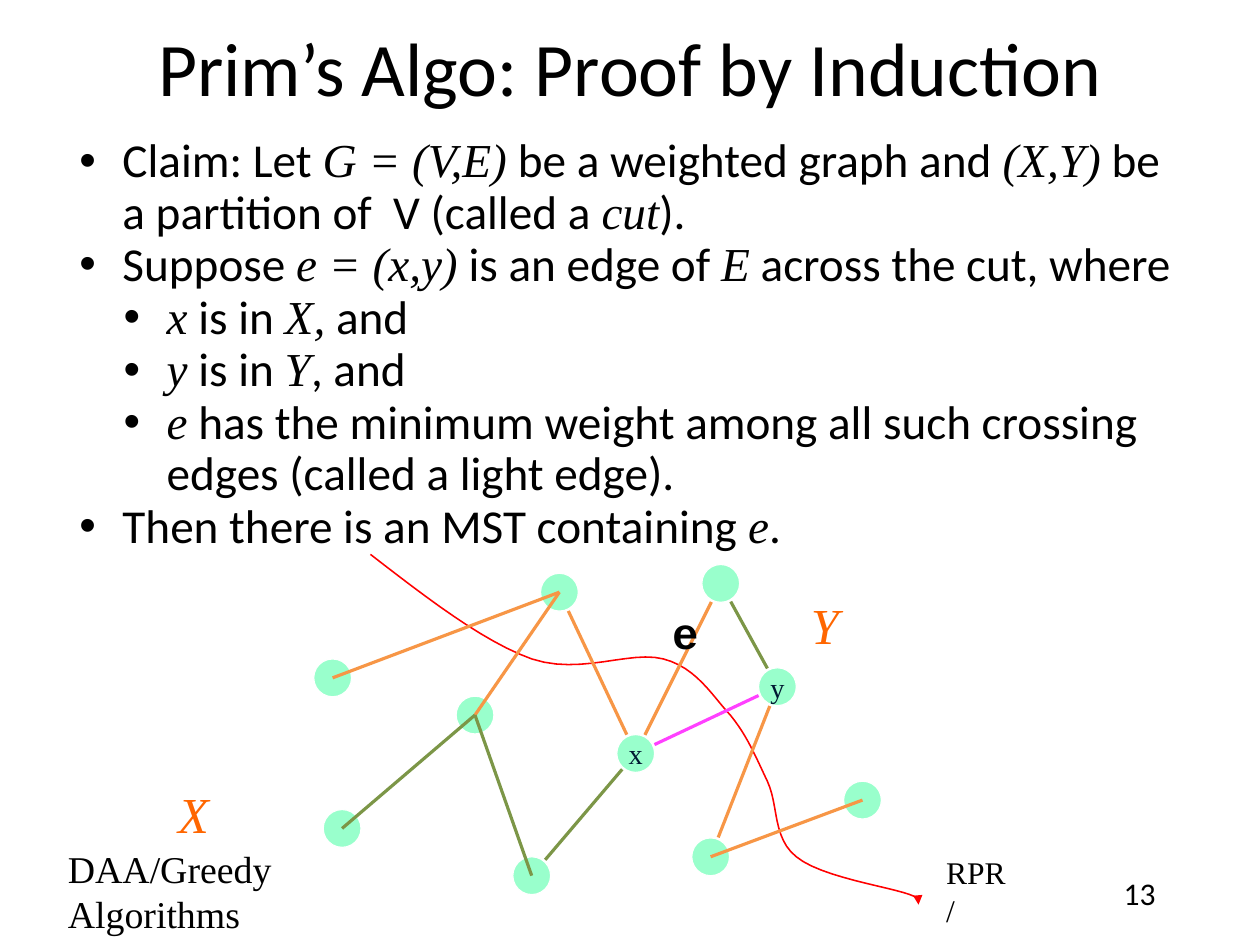
from dataclasses import dataclass
from math import dist

from pptx import Presentation
from pptx.dml.color import RGBColor as Rgb
from pptx.enum.shapes import MSO_CONNECTOR as Link, MSO_SHAPE as Kind
from pptx.enum.text import MSO_ANCHOR as Anchor, MSO_AUTO_SIZE as Fit, PP_ALIGN as Align
from pptx.oxml.ns import qn
from pptx.util import Emu, Inches, Pt

UNIT = 101600  # the slide is a grid of 100 columns by 75 rows


@dataclass(frozen=True)
class Theme:
    sans: str = "Calibri"
    serif: str = "Times New Roman"
    mono: str = "Courier New"
    ink: str = "000000"
    navy: str = "001932"
    mint: str = "99FFCC"
    white: str = "FFFFFF"
    red: str = "FF0000"
    orange: str = "F79646"
    olive: str = "7C9647"
    pink: str = "FF40FF"
    tag: str = "FF6600"
    head: int = 48
    body: int = 30
    part: int = 32
    edge: int = 28
    foot: int = 24
    small: int = 20
    node: int = 18


BODY = [
    (0, "Claim: Let *G = (V,E)* be a weighted graph and *(X,Y)* be "
        "a partition of  V (called a *cut*)."),
    (0, "Suppose *e = (x,y)* is an edge of *E* across the cut, where"),
    (1, "*x* is in *X,* and"),
    (1, "*y* is in *Y*, and"),
    (1, "*e* has the minimum weight among all such crossing edges (called a light edge)."),
    (0, "Then there is an MST containing *e*."),
]
NODES = {
    "a": (37.7, 56.75), "b": (56.4, 68), "c": (27.15, 65.75), "d": (26.4, 53.8),
    "y": (61.7, 54.5), "f": (42.2, 69.5), "x": (50.45, 59.8), "g": (44.4, 47),
    "h": (57.2, 46.3), "i": (68.45, 63.5),
}
EDGES = {"orange": "ga gx hx yb ib dg", "pink": "yx", "olive": "ac af hy xf"}
START = (29.4, 44)
CUT = [
    ((33.8, 47.4), (38.3, 50.9), (42.2, 52.3)),
    ((46.1, 53.6), (50, 51.6), (52.65, 52.3)),
    ((55.3, 53), (56.5, 55.2), (58, 56.8)),
    ((59.3, 58.4), (60, 60.1), (60.9, 62)),
    ((61.8, 63.9), (61.3, 66.5), (63.2, 68)),
    ((65.1, 69.6), (70.6, 70.4), (72.2, 71)),
    ((73.8, 71.6), (72.8, 71.6), (72.9, 71.8)),
]


def grid(*nums):
    return [Emu(round(n * UNIT)) for n in nums]


def trim(p, q, gap):
    """Shorten the line p-q by gap at both ends."""
    t = gap / dist(p, q)
    return [tuple(u + (v - u) * t for u, v in zip(*ends)) for ends in ((p, q), (q, p))]


def bend(p, a, b, q, steps=12):
    """Points along a cubic curve, without its start."""
    for n in range(1, steps + 1):
        t = n / steps
        s = 1 - t
        yield tuple(s**3 * i + 3 * s * s * t * j + 3 * s * t * t * k + t**3 * m
                    for i, j, k, m in zip(p, a, b, q))


class Deck:
    def __init__(self, theme):
        self.theme = theme
        self.prs = Presentation()
        self.prs.slide_width, self.prs.slide_height = grid(100, 75)
        self.slide = self.prs.slides.add_slide(self.prs.slide_layouts[1])
        self.shapes = self.slide.shapes

    def ink(self, name):
        return Rgb.from_string(getattr(self.theme, name))

    def style(self, run, size, face="serif", tint="ink", bold=False, slant=False):
        font = run.font
        font.size = Pt(getattr(self.theme, size))
        font.name = getattr(self.theme, face)
        font.color.rgb = self.ink(tint)
        font.bold, font.italic = bold, slant

    def frame(self, shape, anchor=Anchor.TOP, pad=0.06):
        text = shape.text_frame
        text.word_wrap, text.auto_size = True, Fit.NONE
        text.vertical_anchor = anchor
        text.margin_left = text.margin_right = Inches(pad)
        text.margin_top = text.margin_bottom = Inches(pad)
        return text

    def place(self, shape, *box):
        shape.left, shape.top, shape.width, shape.height = grid(*box)

    def title(self, words, *box):
        shape = self.shapes.title
        self.place(shape, *box)
        text = self.frame(shape, Anchor.MIDDLE)
        text.text = words
        text.paragraphs[0].alignment = Align.CENTER
        self.style(text.paragraphs[0].runs[0], "head", "sans")

    def list(self, items, *box):
        """Fill the body; words between asterisks are slanted serif."""
        shape = self.slide.placeholders[1]
        self.place(shape, *box)
        text = self.frame(shape)
        for n, (level, words) in enumerate(items):
            para = text.add_paragraph() if n else text.paragraphs[0]
            para.level, para.line_spacing = level, 0.9
            para.space_before = Pt(1 if n else 0)
            props = para._p.get_or_add_pPr()
            props.set("marL", str(Inches(0.42 + 0.39 * level)))
            props.set("indent", str(Inches(-0.38)))
            props.makeelement(qn("a:buChar"), {})
            dot = props.makeelement(qn("a:buChar"), {"char": "•"})
            props.append(dot)
            for k, part in enumerate(words.split("*")):
                if part:
                    run = para.add_run()
                    run.text = part
                    math = k % 2 == 1
                    self.style(run, "body", "serif" if math else "sans", slant=math)

    def label(self, words, box, size, align=Align.LEFT, anchor=Anchor.TOP, pad=0.06, **look):
        text = self.frame(self.shapes.add_textbox(*grid(*box)), anchor, pad)
        text.text = words
        text.paragraphs[0].alignment = align
        self.style(text.paragraphs[0].runs[0], size, **look)

    def node(self, mid, words):
        x, y = mid
        dot = self.shapes.add_shape(Kind.OVAL, *grid(x - 1.5, y - 1.5, 3, 3))
        dot.shadow.inherit = False
        dot.fill.solid()
        dot.fill.fore_color.rgb = self.ink("mint")
        self.stroke(dot.line, "white", 0.75)
        if words:
            text = self.frame(dot, Anchor.MIDDLE, 0)
            text.word_wrap = False
            text.text = words
            text.paragraphs[0].alignment = Align.CENTER
            self.style(text.paragraphs[0].runs[0], "node", tint="navy")

    def stroke(self, line, tint, width):
        line.color.rgb = self.ink(tint)
        line.width = Pt(width)

    def edge(self, p, q, tint):
        link = self.shapes.add_connector(Link.STRAIGHT, *grid(*p, *q))
        self.stroke(link.line, tint, 2)
        props = link._element.spPr
        props.append(props.makeelement(qn("a:effectLst"), {}))

    def curve(self, start, parts, tint):
        pts, last = [], start
        for a, b, end in parts:
            pts += [tuple(grid(*p)) for p in bend(last, a, b, end)]
            last = end
        pen = self.shapes.build_freeform(*grid(*start))
        pen.add_line_segments(pts, close=False)
        shape = pen.convert_to_shape()
        shape.shadow.inherit = False
        shape.fill.background()
        self.stroke(shape.line, tint, 1)
        line = shape.line._get_or_add_ln()
        line.append(line.makeelement(qn("a:tailEnd"), {"type": "triangle"}))


def main():
    deck = Deck(Theme())
    deck.title("Prim’s Algo: Proof by Induction", 7.5, 0.6, 85, 9.4)
    deck.list(BODY, 5.4, 10.35, 89.1, 34.8)
    deck.label("13", (87.5, 68.8, 5.9, 3.8), "small", Align.CENTER, face="sans")
    deck.label("DAA/Greedy Algorithms", (4.5, 68.6, 23, 4.2), "foot",
               anchor=Anchor.MIDDLE, pad=0.1)
    deck.label("RPR/", (74.2, 68.8, 6.7, 3.8), "small", anchor=Anchor.MIDDLE, pad=0.1)

    for name, mid in NODES.items():
        deck.node(mid, name if name in "xy" else "")
    deck.curve(START, CUT, "red")
    for tint, pairs in EDGES.items():
        for pair in pairs.split():
            p, q = (NODES[name] for name in pair)
            named = set(pair) & set("xy")
            deck.edge(*(trim(p, q, 1.65) if named else (p, q)), tint)

    part = {"tint": "tag", "slant": True, "pad": 0.05}
    deck.label("X", (13.7, 61.7, 8.3, 5.4), "part", **part)
    deck.label("Y", (63.9, 46.7, 10.5, 5.4), "part", **part)
    deck.label("e", (52.6, 47.7, 3.6, 4.9), "edge", Align.CENTER, Anchor.MIDDLE,
               face="mono", bold=True)
    deck.prs.save("out.pptx")


if __name__ == "__main__":
    main()
